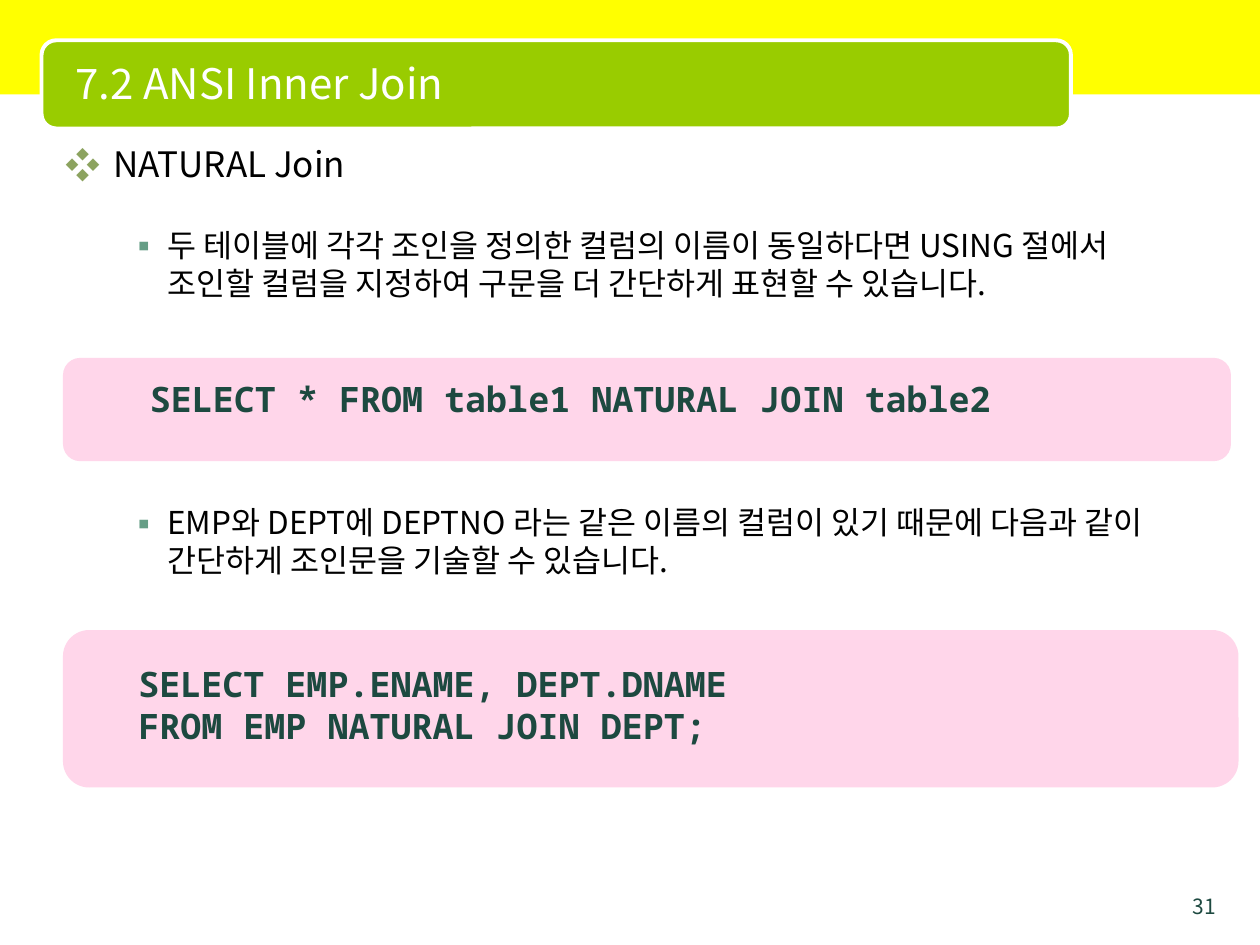
from dataclasses import dataclass

from lxml.etree import SubElement
from pptx import Presentation
from pptx.dml.color import RGBColor
from pptx.enum.shapes import MSO_SHAPE
from pptx.enum.text import MSO_ANCHOR, MSO_AUTO_SIZE, PP_ALIGN
from pptx.oxml.ns import qn
from pptx.util import Inches, Pt


@dataclass(frozen=True)
class Theme:
    # Colours
    band: str = "FFFF00"
    tab: str = "99CC00"
    white: str = "FFFFFF"
    ink: str = "000000"
    code: str = "1D4940"
    panel: str = "FF99CC"
    gem: str = "8CA35F"
    dot: str = "669E86"
    # Fonts, sizes in points and line height
    sans: str = "Noto Sans CJK KR"
    mono: str = "Noto Sans Mono"
    head: int = 24
    top: int = 20
    sub: int = 18
    small: int = 12
    lead: float = 1.2


def tint(name):
    return RGBColor.from_string(name)


def write(para, text, size, color, font, lead, bold=False, align=PP_ALIGN.LEFT,
          before=0, indent=None, mark=None):
    """Fill one paragraph; indent is (left, hanging) and mark is (sign, colour)."""
    para.alignment = align
    para.line_spacing = Pt(size * lead)
    para.space_before = Pt(before)
    if mark:
        props = para._p.get_or_add_pPr()
        left, hang = indent
        props.set("marL", str(Inches(left)))
        props.set("indent", str(-Inches(hang)))
        sign, shade = mark
        SubElement(SubElement(props, qn("a:buClr")), qn("a:srgbClr"), val=shade)
        SubElement(props, qn("a:buFont"), typeface=font)
        SubElement(props, qn("a:buChar"), char=sign)
    run = para.add_run()
    run.text = text
    run.font.size = Pt(size)
    run.font.bold = bold
    run.font.name = font
    run.font.color.rgb = tint(color)
    SubElement(run._r.get_or_add_rPr(), qn("a:ea"), typeface=font)


class Deck:
    COLS, ROWS = 20, 15

    def __init__(self, theme):
        self.theme = theme
        self.prs = Presentation()
        self.prs.slide_width, self.prs.slide_height = Inches(10), Inches(7.5)
        self.slide = self.prs.slides.add_slide(self.prs.slide_layouts[5])

    def place(self, col, row, wide, high):
        x = self.prs.slide_width / self.COLS
        y = self.prs.slide_height / self.ROWS
        return [round(n) for n in (col * x, row * y, wide * x, high * y)]

    def block(self, area, fill, kind=MSO_SHAPE.ROUNDED_RECTANGLE, edge=None, alpha=None):
        shape = self.slide.shapes.add_shape(kind, *self.place(*area))
        shape.shadow.inherit = False
        shape.fill.solid()
        shape.fill.fore_color.rgb = tint(fill)
        if alpha:
            color = shape.fill._xPr.find(".//" + qn("a:srgbClr"))
            SubElement(color, qn("a:alpha"), val=str(alpha * 1000))
        if edge:
            shape.line.color.rgb = tint(edge)
            shape.line.width = Pt(2.25)
        else:
            shape.line.fill.background()
        return shape

    def title(self, area, text, behind):
        box = self.slide.shapes.title
        behind.element.addnext(box.element)
        box.left, box.top, box.width, box.height = self.place(*area)
        frame = box.text_frame
        frame.auto_size = MSO_AUTO_SIZE.NONE
        frame.vertical_anchor = MSO_ANCHOR.MIDDLE
        write(frame.paragraphs[0], text, self.theme.head, self.theme.white,
              self.theme.sans, self.theme.lead)

    def text(self, area, items):
        frame = self.slide.shapes.add_textbox(*self.place(*area)).text_frame
        frame.word_wrap = True
        for n, item in enumerate(items):
            para = frame.add_paragraph() if n else frame.paragraphs[0]
            write(para, lead=self.theme.lead, **item)

    def panel(self, area, row, high, lines, align=PP_ALIGN.LEFT):
        t = self.theme
        self.block(area, t.panel, alpha=40)
        self.text((2, row, 14.12, high), [
            dict(text=line, size=t.top, color=t.code, font=t.mono, bold=True, align=align)
            for line in lines])


def main():
    t = Theme()
    deck = Deck(t)

    # Header band, tab and title
    deck.block((0, 0, 20, 1.5), t.band, MSO_SHAPE.RECTANGLE)
    tab = deck.block((0.66, 0.64, 16.34, 1.4), t.tab, edge=t.white)
    deck.title((1, 0.7, 15.84, 1.24), "7.2 ANSI Inner Join", tab)

    # Page number
    deck.text((18.5, 14.08, 1, 0.42), [
        dict(text="31", size=t.small, color=t.code, font=t.sans, align=PP_ALIGN.RIGHT)])

    # Bullets; the second point leaves room for the first code panel
    base = dict(color=t.ink, font=t.sans)
    point = dict(base, size=t.sub, indent=(0.81, 0.31), mark=("▪", t.dot))
    gap = 24
    room = 3 * gap + 2 * t.sub * t.lead
    deck.text((0.84, 2.16, 18, 12.28), [
        dict(base, text="NATURAL Join", size=t.top, indent=(0.38, 0.38), mark=("❖", t.gem)),
        dict(point, before=gap, text="두 테이블에 각각 조인을 정의한 컬럼의 이름이 동일하다면 USING 절에서 "
             "조인할 컬럼을 지정하여 구문을 더 간단하게 표현할 수 있습니다."),
        dict(point, before=room, text="EMP와 DEPT에 DEPTNO 라는 같은 이름의 컬럼이 있기 때문에 다음과 "
             "같이 간단하게 조인문을 기술할 수 있습니다."),
    ])

    # Code panels
    deck.panel((1, 5.68, 18.54, 1.64), 5.9, 0.88,
               ["SELECT * FROM table1 NATURAL JOIN table2"], PP_ALIGN.CENTER)
    deck.panel((1, 10, 18.66, 2.5), 10.42, 1.54,
               ["SELECT EMP.ENAME, DEPT.DNAME", "FROM EMP NATURAL JOIN DEPT;"])

    deck.prs.save("out.pptx")


if __name__ == "__main__":
    main()
